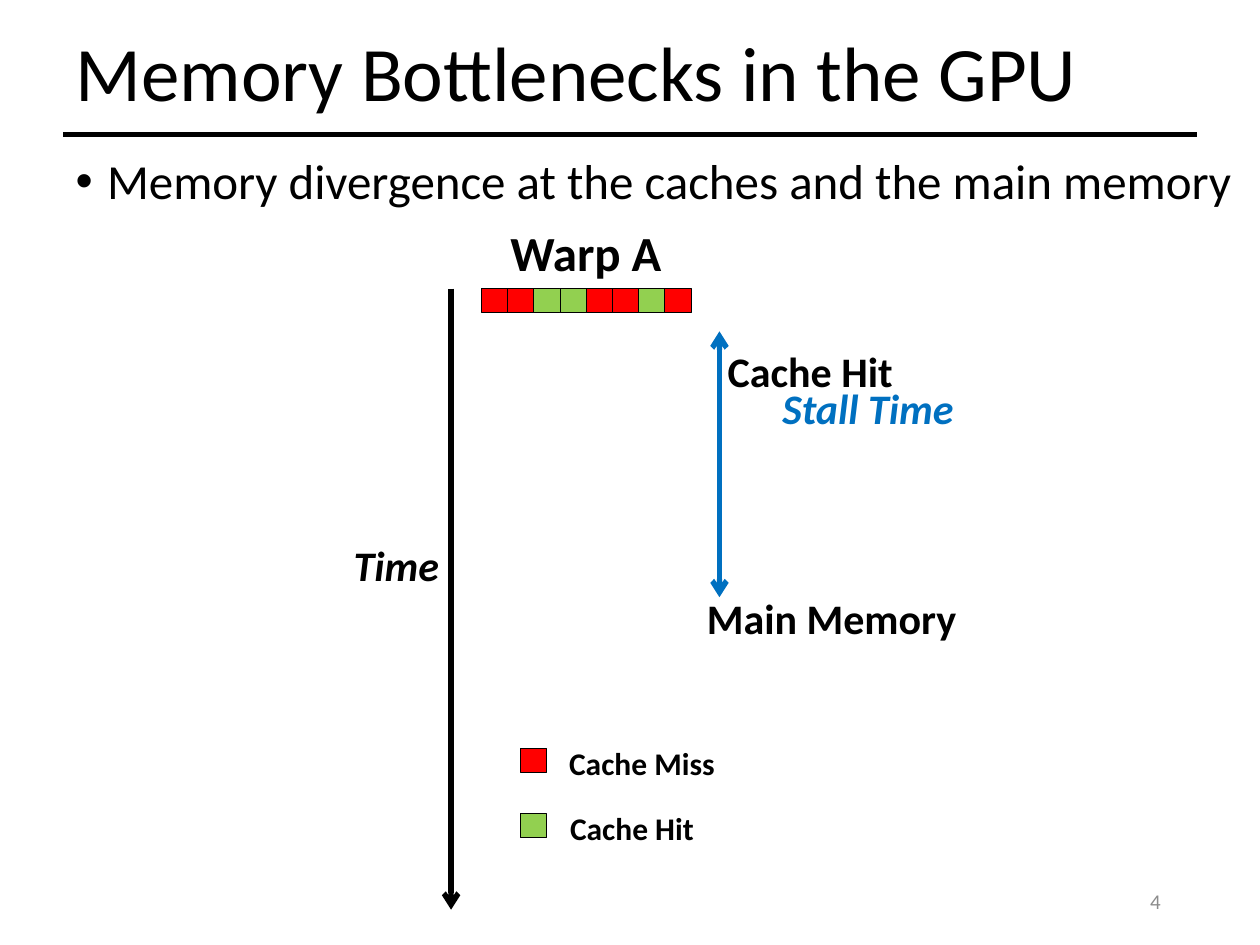
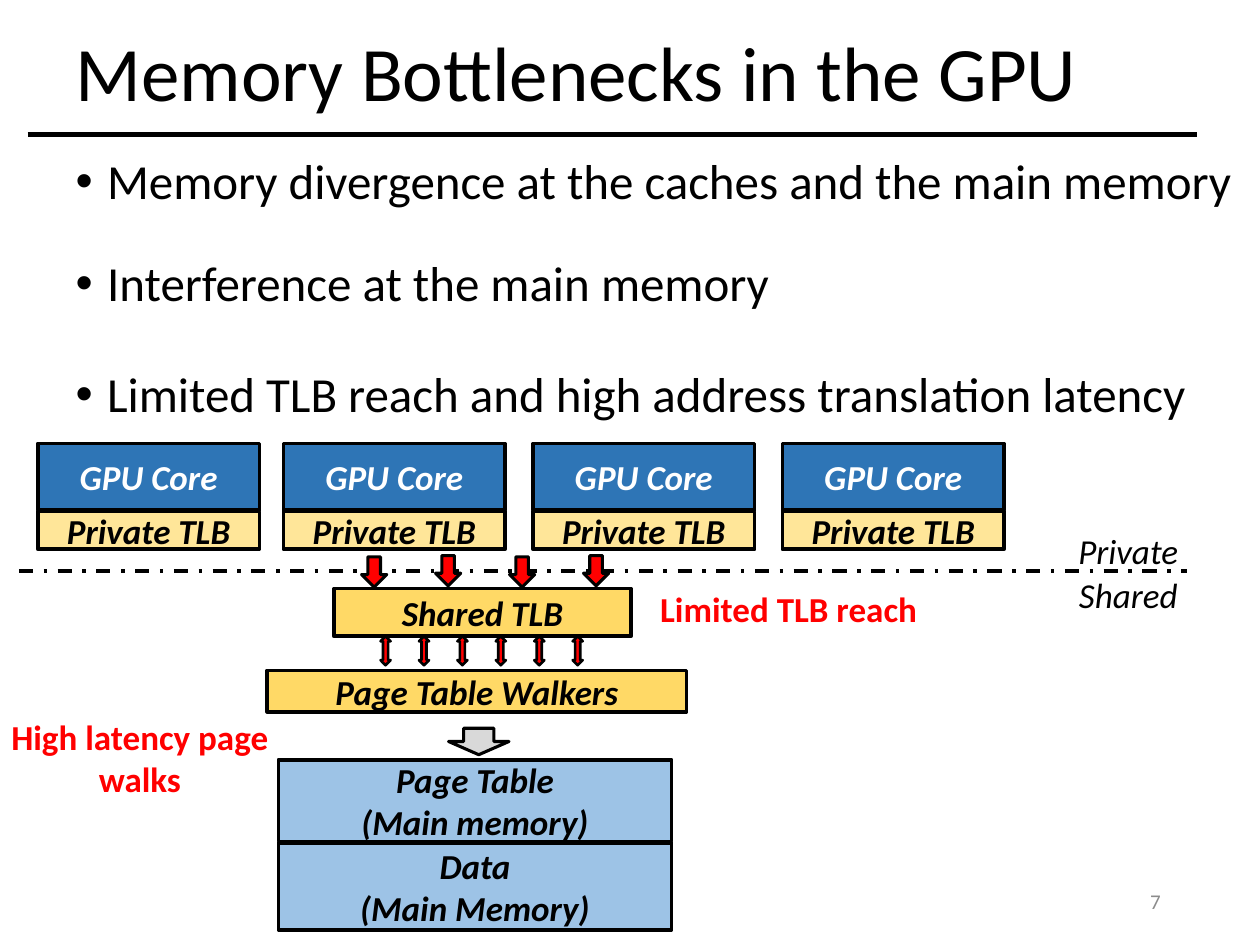
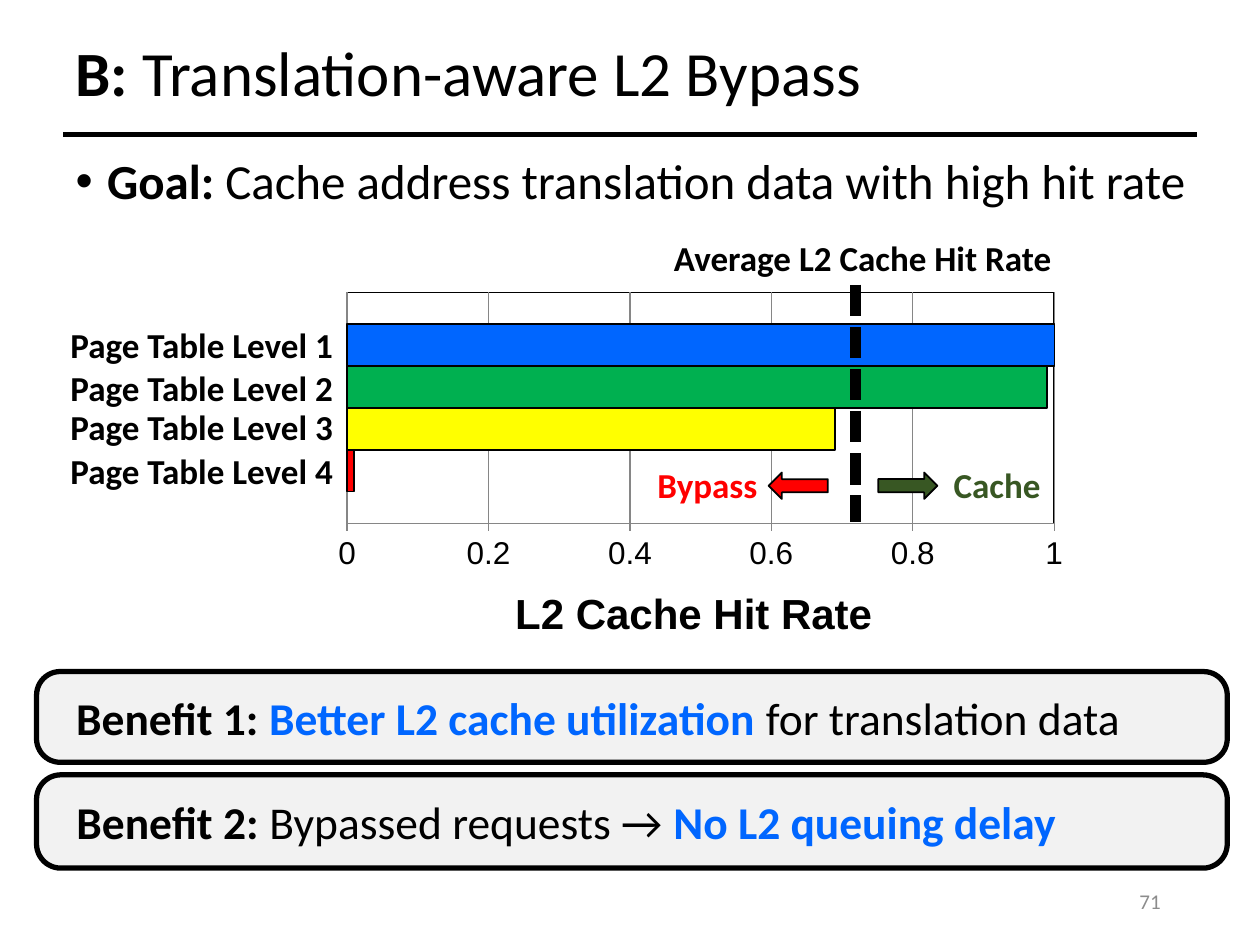
from dataclasses import dataclass

from lxml.etree import SubElement
from pptx import Presentation
from pptx.chart.data import CategoryChartData
from pptx.dml.color import RGBColor
from pptx.enum.chart import XL_CHART_TYPE, XL_TICK_MARK
from pptx.enum.dml import MSO_LINE
from pptx.enum.shapes import MSO_CONNECTOR, MSO_SHAPE as Preset
from pptx.enum.text import MSO_ANCHOR as Anchor, MSO_AUTO_SIZE as AutoSize, PP_ALIGN as Align
from pptx.oxml import parse_xml
from pptx.oxml.ns import nsdecls, qn
from pptx.util import Inches, Pt

BLACK, WHITE, RED = "000000", "FFFFFF", "FF0000"
HIT_GREEN, STALL_BLUE, NUMBER_GRAY = "92D050", "0070C0", "8C8C8C"
CORE_BLUE, PRIVATE_YELLOW, SHARED_YELLOW = "2E75B6", "FFE699", "FFD966"
MEMORY_BLUE, WALK_GRAY, PANEL_GRAY = "9DC3E6", "D9D9D9", "F2F2F2"
ACCENT_BLUE, CACHE_GREEN, LEVEL_GREEN, LEVEL_YELLOW = "0066FF", "385723", "00B050", "FFFF00"
GRID_GRAY = "868686"
BODY_FONT, CHART_FONT = "Calibri", "Arial"
DIVERGENCE = "Memory divergence at the caches and the main memory"


@dataclass(frozen=True)
class Box:
    left: float
    top: float
    width: float
    height: float

    def inches(self) -> tuple:
        return tuple(Inches(v) for v in (self.left, self.top, self.width, self.height))


@dataclass(frozen=True)
class Run:
    text: str
    color: str = BLACK
    bold: bool = False
    italic: bool = False


@dataclass(frozen=True)
class Bullet:
    runs: list
    space_before: float = 10


@dataclass(frozen=True)
class Level:
    name: str
    value: float
    color: str


def rgb(color: str) -> RGBColor:
    return RGBColor.from_string(color)


def add_runs(paragraph, runs: list, size: float, font: str = BODY_FONT) -> None:
    for item in runs:
        run = paragraph.add_run()
        run.text = item.text
        run.font.name, run.font.size = font, Pt(size)
        run.font.bold, run.font.italic = item.bold, item.italic
        run.font.color.rgb = rgb(item.color)


def write(frame, lines: list, size: float, font: str = BODY_FONT, align=Align.CENTER) -> None:
    for index, runs in enumerate(lines):
        paragraph = frame.paragraphs[0] if index == 0 else frame.add_paragraph()
        paragraph.alignment = align
        add_runs(paragraph, runs, size, font)


def place(shape, box: Box) -> None:
    shape.left, shape.top, shape.width, shape.height = box.inches()


def add_label(slide, box: Box, text: str, size: float, color: str = BLACK, bold: bool = True,
              italic: bool = False, font: str = BODY_FONT, align=Align.LEFT,
              wrap: bool = True, anchor=Anchor.TOP) -> None:
    frame = slide.shapes.add_textbox(*box.inches()).text_frame
    frame.word_wrap = wrap
    frame.vertical_anchor = anchor
    write(frame, [[Run(text, color, bold, italic)]], size, font, align)


def add_centered_label(slide, box: Box, text: str, size: float, **style) -> None:
    add_label(slide, box, text, size, align=Align.CENTER, wrap=False, **style)


def add_figure(slide, preset, box: Box, fill: str | None = None, line_width: float = 0):
    shape = slide.shapes.add_shape(preset, *box.inches())
    shape.shadow.inherit = False
    if fill:
        shape.fill.solid()
        shape.fill.fore_color.rgb = rgb(fill)
    else:
        shape.fill.background()
    if line_width:
        shape.line.color.rgb = rgb(BLACK)
        shape.line.width = Pt(line_width)
    else:
        shape.line.fill.background()
    return shape


def add_block(slide, box: Box, lines: list, fill: str, color: str = BLACK) -> None:
    shape = add_figure(slide, Preset.RECTANGLE, box, fill, 2)
    shape.text_frame.vertical_anchor = Anchor.MIDDLE
    write(shape.text_frame, [[Run(text, color, True, True)] for text in lines], 20)


def add_note(slide, box: Box, run: Run) -> None:
    shape = add_figure(slide, Preset.ROUNDED_RECTANGLE, box)
    shape.adjustments[0] = 0.09
    frame = shape.text_frame
    frame.margin_left = frame.margin_right = Inches(0.2)
    frame.vertical_anchor = Anchor.MIDDLE
    write(frame, [[run]], 20)


def add_line(slide, start: tuple, end: tuple, width: float, color: str = BLACK,
             dash=None, head: bool = False, tail: bool = False) -> None:
    ends = [Inches(value) for value in (*start, *end)]
    connector = slide.shapes.add_connector(MSO_CONNECTOR.STRAIGHT, *ends)
    connector.line.color.rgb = rgb(color)
    connector.line.width = Pt(width)
    if dash:
        connector.line.dash_style = dash
    outline = connector.line._get_or_add_ln()
    for tag, shown in (("a:headEnd", head), ("a:tailEnd", tail)):
        if shown:
            SubElement(outline, qn(tag)).set("type", "arrow")
    SubElement(connector._element.spPr, qn("a:effectLst"))


def add_base_slide(presentation, title: list, bullets: list, number: int,
                   title_size: float = 44, body_width: float = 9.62):
    slide = presentation.slides.add_slide(presentation.slide_layouts[1])
    heading, body = slide.placeholders
    place(heading, Box(0.5, 0.14, 9.5, 0.93))
    place(body, Box(0.5, 1.2, body_width, 6.03))
    for placeholder in (heading, body):
        placeholder.text_frame.auto_size = AutoSize.NONE
        placeholder.text_frame.word_wrap = True
    heading.text_frame.vertical_anchor = Anchor.MIDDLE
    write(heading.text_frame, [title], title_size, align=Align.LEFT)
    heading.text_frame.paragraphs[0].line_spacing = 0.9
    write(body.text_frame, [bullet.runs for bullet in bullets], 28, align=Align.LEFT)
    for paragraph, bullet in zip(body.text_frame.paragraphs, bullets):
        paragraph.line_spacing = 0.9
        paragraph.space_before = Pt(bullet.space_before)
        properties = paragraph._p.get_or_add_pPr()
        properties.set("marL", str(Inches(0.25)))
        properties.set("indent", str(Inches(-0.25)))
        SubElement(properties, qn("a:buFont")).set("typeface", CHART_FONT)
        SubElement(properties, qn("a:buChar")).set("char", "•")
    add_line(slide, (0.5, 1.07), (9.5, 1.07), 3)
    add_label(slide, Box(7.06, 6.95, 2.25, 0.4), str(number), 12, NUMBER_GRAY, bold=False,
              align=Align.RIGHT, anchor=Anchor.MIDDLE)
    return slide


def build_divergence_slide(presentation) -> None:
    slide = add_base_slide(presentation, [Run("Memory Bottlenecks in the GPU")],
                           [Bullet([Run(DIVERGENCE)])], 4)
    threads = [RED, RED, HIT_GREEN, HIT_GREEN, RED, RED, HIT_GREEN, RED]
    for index, color in enumerate(threads):
        add_figure(slide, Preset.RECTANGLE, Box(3.82 + 0.208 * index, 2.29, 0.21, 0.19), color, 0.5)
    for top, color in ((5.94, RED), (6.46, HIT_GREEN)):
        add_figure(slide, Preset.RECTANGLE, Box(4.13, top, 0.21, 0.19), color, 0.5)
    add_centered_label(slide, Box(4.41, 5.86, 1.37, 0.4), "Cache Miss", 18)
    add_centered_label(slide, Box(4.42, 6.37, 1.19, 0.4), "Cache Hit", 18)
    add_centered_label(slide, Box(3.93, 1.72, 1.44, 0.57), "Warp A", 28)
    add_centered_label(slide, Box(2.7, 4.23, 0.89, 0.5), "Time", 24, italic=True)
    add_centered_label(slide, Box(5.67, 2.69, 1.52, 0.5), "Cache Hit", 24)
    add_centered_label(slide, Box(5.5, 4.65, 2.2, 0.5), "Main Memory", 24)
    add_centered_label(slide, Box(6.06, 2.99, 1.66, 0.5), "Stall Time", 24,
                       color=STALL_BLUE, italic=True)
    add_line(slide, (3.58, 2.29), (3.58, 7.22), 3, tail=True)
    add_line(slide, (5.71, 2.63), (5.71, 4.74), 3, STALL_BLUE, head=True, tail=True)


def build_translation_slide(presentation) -> None:
    bullets = [Bullet([Run(DIVERGENCE)]),
               Bullet([Run("Interference at the main memory")], 28),
               Bullet([Run("Limited TLB reach and high address translation latency")], 33)]
    slide = add_base_slide(presentation, [Run("Memory Bottlenecks in the GPU")], bullets, 7)
    add_line(slide, (0.22, 1.07), (9.5, 1.07), 3)
    for left in (0.3, 2.25, 4.23, 6.21):
        add_block(slide, Box(left, 3.52, 1.76, 0.53), ["GPU Core"], CORE_BLUE, WHITE)
        add_block(slide, Box(left, 4.06, 1.76, 0.3), ["Private TLB"], PRIVATE_YELLOW)
    add_block(slide, Box(2.65, 4.67, 2.36, 0.38), ["Shared TLB"], SHARED_YELLOW)
    add_block(slide, Box(2.12, 5.32, 3.33, 0.33), ["Page Table Walkers"], SHARED_YELLOW)
    add_block(slide, Box(2.21, 6.03, 3.12, 0.65), ["Page Table", "(Main memory)"], MEMORY_BLUE)
    add_block(slide, Box(2.21, 6.69, 3.12, 0.69), ["Data", "(Main Memory)"], MEMORY_BLUE)
    add_figure(slide, Preset.DOWN_ARROW, Box(3.56, 5.78, 0.48, 0.21), WALK_GRAY, 1.75)
    add_line(slide, (0.15, 4.53), (9.42, 4.53), 2, dash=MSO_LINE.DASH_DOT)
    for index in range(4):
        top = 4.41 if index % 2 else 4.42
        add_figure(slide, Preset.DOWN_ARROW, Box(2.87 + 0.587 * index, top, 0.2, 0.24), RED, 1.75)
    for index in range(6):
        add_figure(slide, Preset.UP_DOWN_ARROW, Box(3.02 + 0.305 * index, 5.05, 0.08, 0.23), RED, 1.5)
    add_note(slide, Box(4.83, 4.61, 2.86, 0.44), Run("Limited TLB reach", RED, bold=True))
    add_note(slide, Box(-0.38, 5.53, 2.98, 0.97), Run("High latency page walks", RED, bold=True))
    add_note(slide, Box(8.05, 4.17, 1.81, 0.39), Run("Private", italic=True))
    add_note(slide, Box(8.05, 4.52, 1.81, 0.39), Run("Shared", italic=True))


def add_hit_rate_chart(slide, box: Box, levels: list) -> None:
    data = CategoryChartData()
    data.categories = ["1"]
    for level in levels:
        data.add_series(level.name, [level.value])
    chart = slide.shapes.add_chart(XL_CHART_TYPE.BAR_CLUSTERED, *box.inches(), data).chart
    chart.has_legend = chart.has_title = False
    chart.font.name, chart.font.size = BODY_FONT, Pt(10)
    chart.font.color.rgb = rgb(BLACK)
    plot = chart.plots[0]
    plot.gap_width, plot.overlap, plot.vary_by_categories = 150, 0, False
    for series, level in zip(plot.series, levels):
        series.format.fill.solid()
        series.format.fill.fore_color.rgb = rgb(level.color)
        series.format.line.color.rgb = rgb(BLACK)
        series.format.line.width = Pt(0.75)
    chart.category_axis.visible = False
    axis = chart.value_axis
    axis.minimum_scale, axis.maximum_scale, axis.major_unit = 0, 1, 0.2
    axis.major_tick_mark, axis.minor_tick_mark = XL_TICK_MARK.OUTSIDE, XL_TICK_MARK.NONE
    axis.has_major_gridlines = True
    for line in (axis.major_gridlines.format.line, axis.format.line):
        line.color.rgb = rgb(GRID_GRAY)
        line.width = Pt(0.75)
    labels = axis.tick_labels
    labels.font.name, labels.font.size = CHART_FONT, Pt(18)
    labels.font.color.rgb = rgb(BLACK)
    labels.number_format, labels.number_format_is_linked = "General", False
    area = chart._chartSpace.chart.plotArea
    for layout in area.findall(qn("c:layout")):
        area.remove(layout)
    parts = "".join(f'<c:{tag} val="{value}"/>' for tag, value in (
        ("layoutTarget", "inner"), ("xMode", "edge"), ("yMode", "edge"),
        ("x", 0.114), ("y", 0.064), ("w", 0.795), ("h", 0.582)))
    area.insert(0, parse_xml(
        f'<c:layout {nsdecls("c")}><c:manualLayout>{parts}</c:manualLayout></c:layout>'))
    area.append(parse_xml(
        f'<c:spPr {nsdecls("c", "a")}><a:noFill/><a:ln w="{Pt(1)}"><a:solidFill>'
        f'<a:srgbClr val="{BLACK}"/></a:solidFill></a:ln></c:spPr>'))


def add_benefit(slide, box: Box, runs: list) -> None:
    shape = add_figure(slide, Preset.ROUNDED_RECTANGLE, box, PANEL_GRAY, 3)
    shape.adjustments[0] = 0.26
    shape.text_frame.margin_left = Inches(0.26)
    shape.text_frame.vertical_anchor = Anchor.MIDDLE
    write(shape.text_frame, [runs], 26, align=Align.LEFT)


def build_bypass_slide(presentation) -> None:
    goal = [Run("Goal: ", bold=True), Run("Cache address translation data with high hit rate")]
    slide = add_base_slide(presentation, [Run("B: ", bold=True), Run("Translation-aware L2 Bypass")],
                           [Bullet(goal)], 71, title_size=36, body_width=9.25)
    levels = [Level("Series 1", 0.01, RED), Level("Series 2", 0.69, LEVEL_YELLOW),
              Level("Series 3", 0.99, LEVEL_GREEN), Level("Series 4", 1, ACCENT_BLUE)]
    add_hit_rate_chart(slide, Box(1.95, 2.12, 7.06, 3.15), levels)
    for level, top in enumerate((2.52, 2.86, 3.17, 3.52), start=1):
        add_label(slide, Box(0.46, top, 2.37, 0.44), f"Page Table Level {level}", 20)
    add_label(slide, Box(3.99, 4.61, 3.49, 0.5), "L2 Cache Hit Rate", 24, font=CHART_FONT)
    add_label(slide, Box(5.25, 1.83, 3.3, 0.44), "Average L2 Cache Hit Rate", 20)
    add_label(slide, Box(5.12, 3.63, 2.37, 0.44), "Bypass", 20, RED)
    add_label(slide, Box(7.47, 3.63, 2.37, 0.44), "Cache", 20, CACHE_GREEN)
    add_benefit(slide, Box(0.29, 5.33, 9.45, 0.72), [
        Run("Benefit 1: ", bold=True),
        Run("Better L2 cache utilization ", ACCENT_BLUE, bold=True),
        Run("for translation data")])
    add_benefit(slide, Box(0.29, 6.15, 9.45, 0.74), [
        Run("Benefit 2: ", bold=True),
        Run("Bypassed requests → "),
        Run("No L2 queuing delay", ACCENT_BLUE, bold=True)])
    add_line(slide, (6.79, 2.26), (6.79, 4.14), 6, dash=MSO_LINE.SQUARE_DOT)
    add_figure(slide, Preset.RIGHT_ARROW, Box(6.97, 3.75, 0.47, 0.21), CACHE_GREEN, 1)
    bypass_arrow = add_figure(slide, Preset.RIGHT_ARROW, Box(6.1, 3.75, 0.47, 0.21), RED, 1)
    bypass_arrow.rotation = 180


def main() -> None:
    presentation = Presentation()
    presentation.slide_width, presentation.slide_height = Inches(10), Inches(7.5)
    build_divergence_slide(presentation)
    build_translation_slide(presentation)
    build_bypass_slide(presentation)
    presentation.save("out.pptx")


if __name__ == "__main__":
    main()
